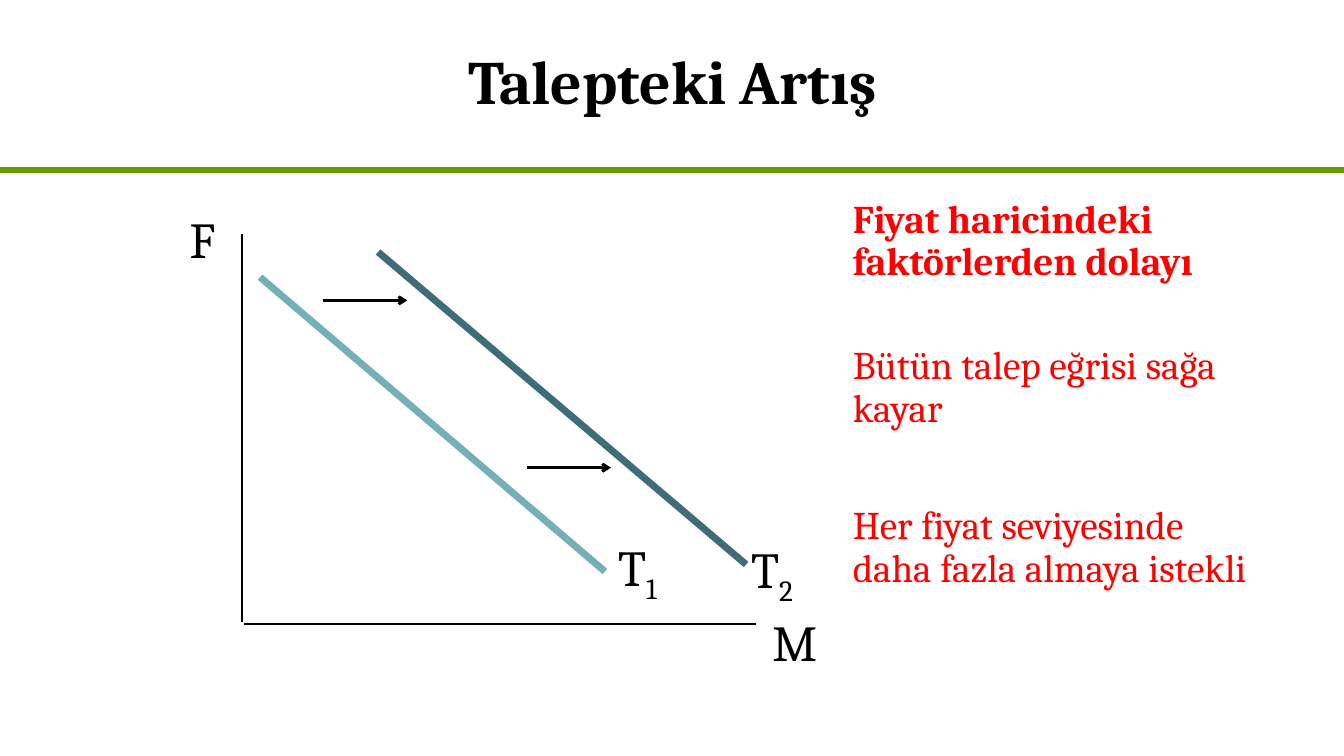
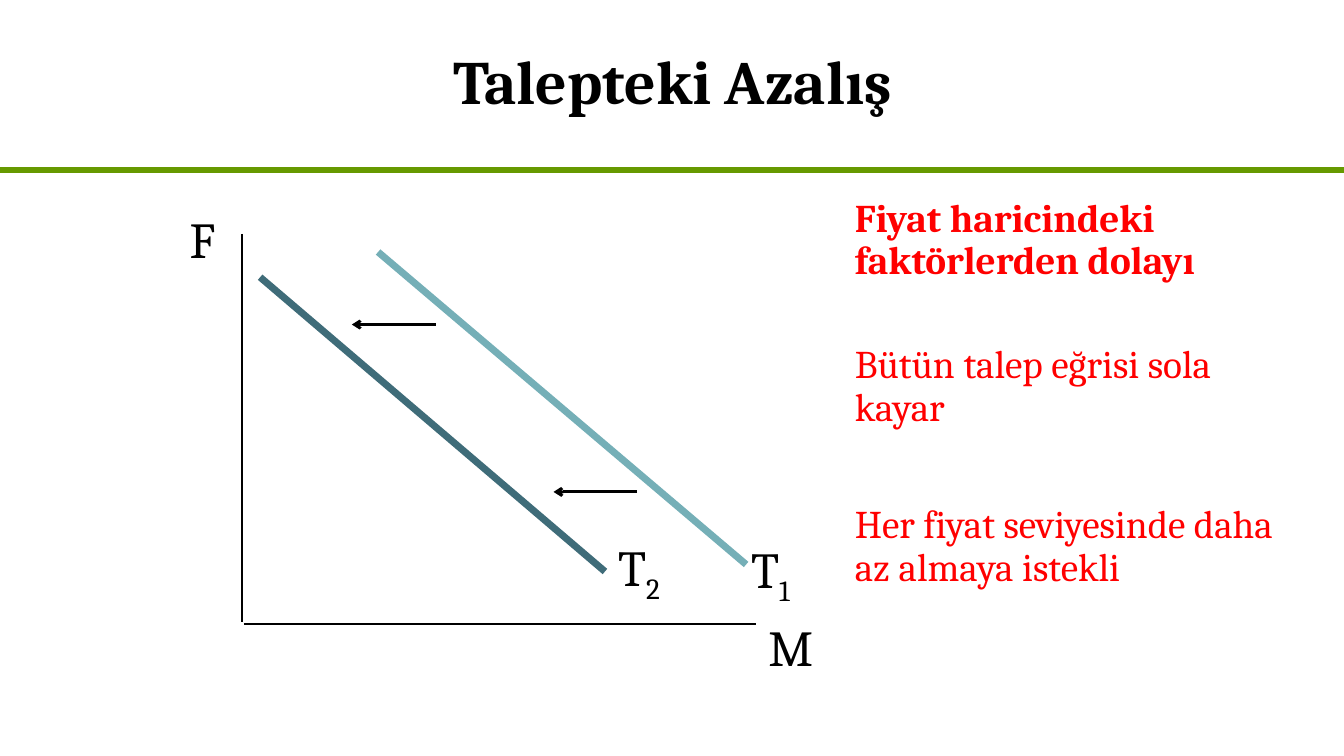
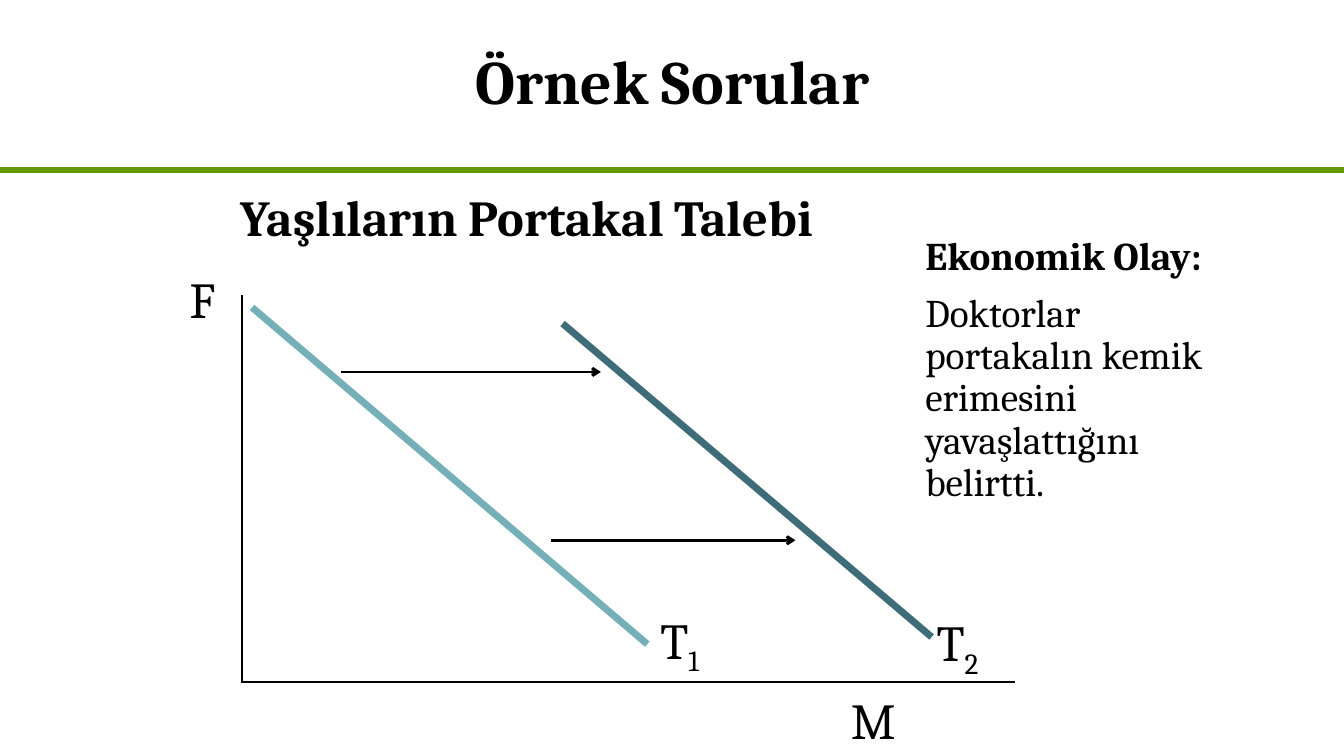
from lxml.etree import SubElement
from pptx import Presentation
from pptx.dml.color import RGBColor
from pptx.enum.shapes import MSO_CONNECTOR
from pptx.enum.text import MSO_ANCHOR, PP_ALIGN
from pptx.oxml.ns import qn
from pptx.util import Pt

PX = 9144  # 100 px to the inch
SLIDE_W, SLIDE_H = 1333, 750
FONT = "Cambria"
LINE_SPACING = 0.9
BLACK = RGBColor(0x00, 0x00, 0x00)
RED = RGBColor(0xFF, 0x00, 0x00)
GREEN = RGBColor(0x66, 0x99, 0x00)
OLD_DEMAND = RGBColor(0x75, 0xAF, 0xB7)
NEW_DEMAND = RGBColor(0x3F, 0x6C, 0x79)


def add_line(slide, ends, color, width, arrow=False):
    line = slide.shapes.add_connector(MSO_CONNECTOR.STRAIGHT, *[v * PX for v in ends])
    line.line.color.rgb = color
    line.line.width = Pt(width)
    if arrow:
        SubElement(line.line._get_or_add_ln(), qn("a:tailEnd"), type="arrow")
    SubElement(line._element.spPr, qn("a:effectLst"))


def add_text(slide, place, paragraphs, size, color=BLACK, inset=(10, 5),
             align=PP_ALIGN.LEFT, anchor=MSO_ANCHOR.TOP):
    """Each paragraph is (space after in points, [(text, bold, subscript), ...])."""
    frame = slide.shapes.add_textbox(*[v * PX for v in place]).text_frame
    frame.word_wrap = True
    frame.vertical_anchor = anchor
    frame.margin_left = frame.margin_right = inset[0] * PX
    frame.margin_top = frame.margin_bottom = inset[1] * PX
    for i, (space_after, runs) in enumerate(paragraphs):
        paragraph = frame.add_paragraph() if i else frame.paragraphs[0]
        paragraph.alignment = align
        paragraph.line_spacing = LINE_SPACING
        paragraph.space_after = Pt(space_after)
        for text, bold, subscript in runs:
            run = paragraph.add_run()
            run.text = text
            run.font.name = FONT
            run.font.size = Pt(size)
            run.font.bold = bold
            run.font.color.rgb = color
            if subscript:
                run.font._element.set("baseline", "-25000")


# Content: curves are (ends, colour, subscript, label corner)
slides = [
    {
        "title": "Talepteki Artış",
        "axes": [((240, 232, 240, 617), 2), ((242, 619, 750, 619), 1.5)],
        "axis_names": [("F", 183, 211), ("M", 761, 611)],
        "curves": [((258, 275, 600, 567), OLD_DEMAND, "1", (608, 531)),
                   ((375, 250, 740, 560), NEW_DEMAND, "2", (740, 533))],
        "shifts": [(320, 298, 404, 298), (523, 464, 606, 464)],
        "message_place": (836, 193, 430, 522),
        "message_color": RED,
        "message": [(44, "Fiyat haricindeki faktörlerden dolayı"),
                    (54, "Bütün talep eğrisi sağa kayar"),
                    (10, "Her fiyat seviyesinde daha fazla almaya istekli")],
    },
    {
        "title": "Talepteki Azalış",
        "axes": [((240, 232, 240, 617), 2), ((242, 619, 750, 619), 1.5)],
        "axis_names": [("F", 183, 211), ("M", 757, 616)],
        "curves": [((258, 275, 600, 567), NEW_DEMAND, "2", (608, 531)),
                   ((375, 250, 740, 560), OLD_DEMAND, "1", (740, 533))],
        "shifts": [(432, 322, 349, 322), (632, 488, 549, 488)],
        "message_place": (838, 192, 455, 522),
        "message_color": RED,
        "message": [(44, "Fiyat haricindeki faktörlerden dolayı"),
                    (54, "Bütün talep eğrisi sola kayar"),
                    (10, "Her fiyat seviyesinde daha az almaya istekli")],
    },
    {
        "title": "Örnek Sorular",
        "chart_title": "Yaşlıların Portakal Talebi",
        "axes": [((240, 293, 240, 678), 2), ((240, 677, 1007, 677), 1.5)],
        "axis_names": [("F", 183, 271), ("M", 839, 688)],
        "curves": [((250, 305, 642, 639), OLD_DEMAND, "1", (650, 603)),
                   ((558, 321, 924, 632), NEW_DEMAND, "2", (924, 605))],
        "shifts": [(338, 369, 596, 369), (547, 536, 789, 536)],
        "message_place": (908, 230, 329, 300),
        "message_color": BLACK,
        "message": [(10, "Ekonomik Olay:"),
                    (10, "Doktorlar portakalın kemik erimesini yavaşlattığını belirtti.")],
    },
]

prs = Presentation()
prs.slide_width, prs.slide_height = SLIDE_W * PX, SLIDE_H * PX

for content in slides:
    slide = prs.slides.add_slide(prs.slide_layouts[6])

    # Title and rule
    add_line(slide, (0, 169, SLIDE_W, 169), GREEN, 4.5)
    add_text(slide, (217, 0, 900, 167), [(0, [(content["title"], True, False)])], 44,
             align=PP_ALIGN.CENTER, anchor=MSO_ANCHOR.MIDDLE)

    # Axes and their names
    for ends, width in content["axes"]:
        add_line(slide, ends, BLACK, width)
    for name, left, top in content["axis_names"]:
        add_text(slide, (left, top, 61, 44), [(10, [(name, False, False)])], 36, inset=(5, 2))

    # Demand curves and the shift between them
    for ends, color, subscript, corner in content["curves"]:
        add_line(slide, ends, color, 5)
        add_text(slide, (*corner, 100, 69),
                 [(10, [("T", False, False), (subscript, False, True)])], 36, inset=(5, 2))
    for ends in content["shifts"]:
        add_line(slide, ends, BLACK, 2, arrow=True)

    # Heading of the diagram and message, whose first paragraph is bold
    if "chart_title" in content:
        add_text(slide, (229, 187, 667, 59), [(10, [(content["chart_title"], True, False)])], 36)
    message = [(space_after, [(text, i == 0, False)])
               for i, (space_after, text) in enumerate(content["message"])]
    add_text(slide, content["message_place"], message, 28, content["message_color"])

prs.save("out.pptx")
